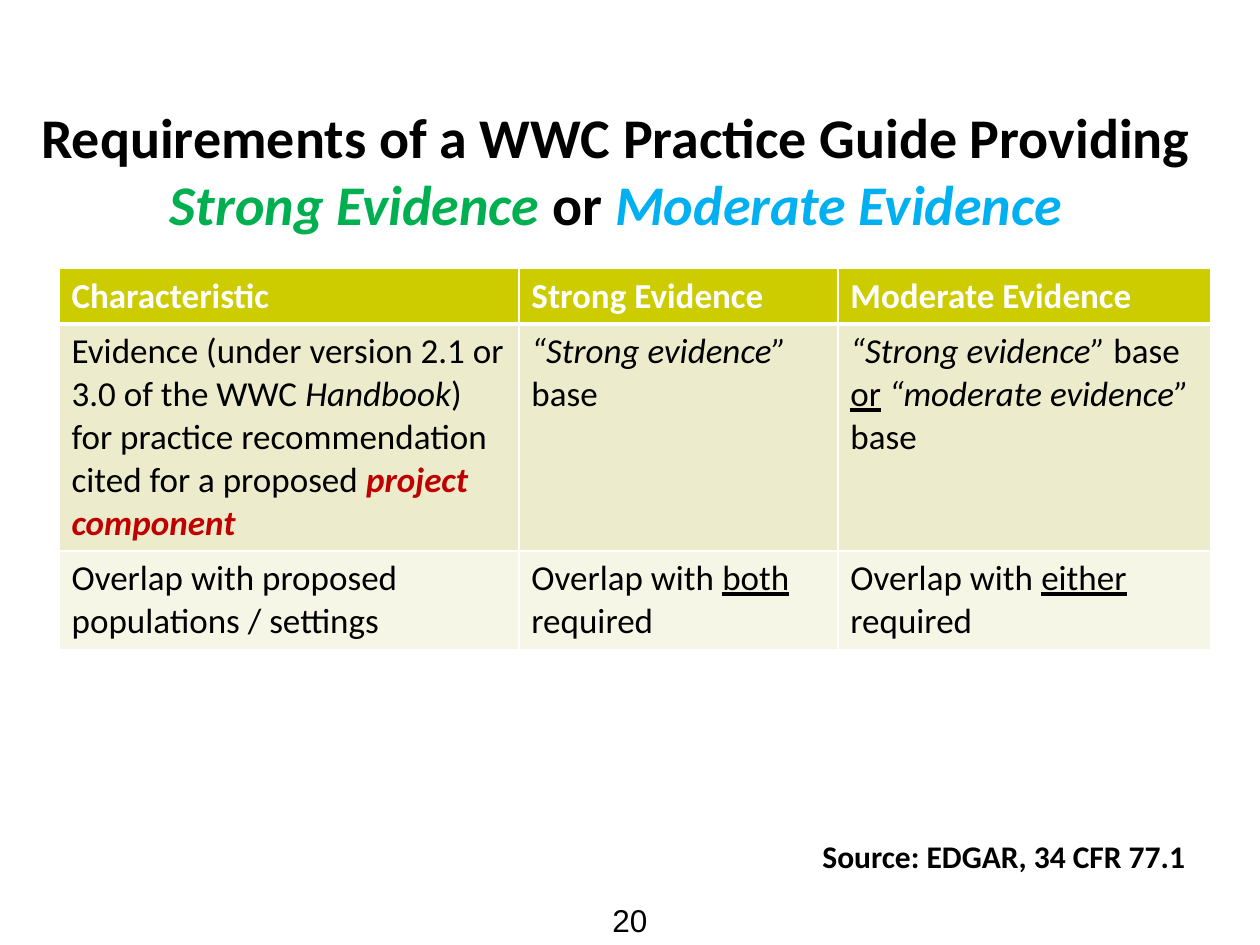
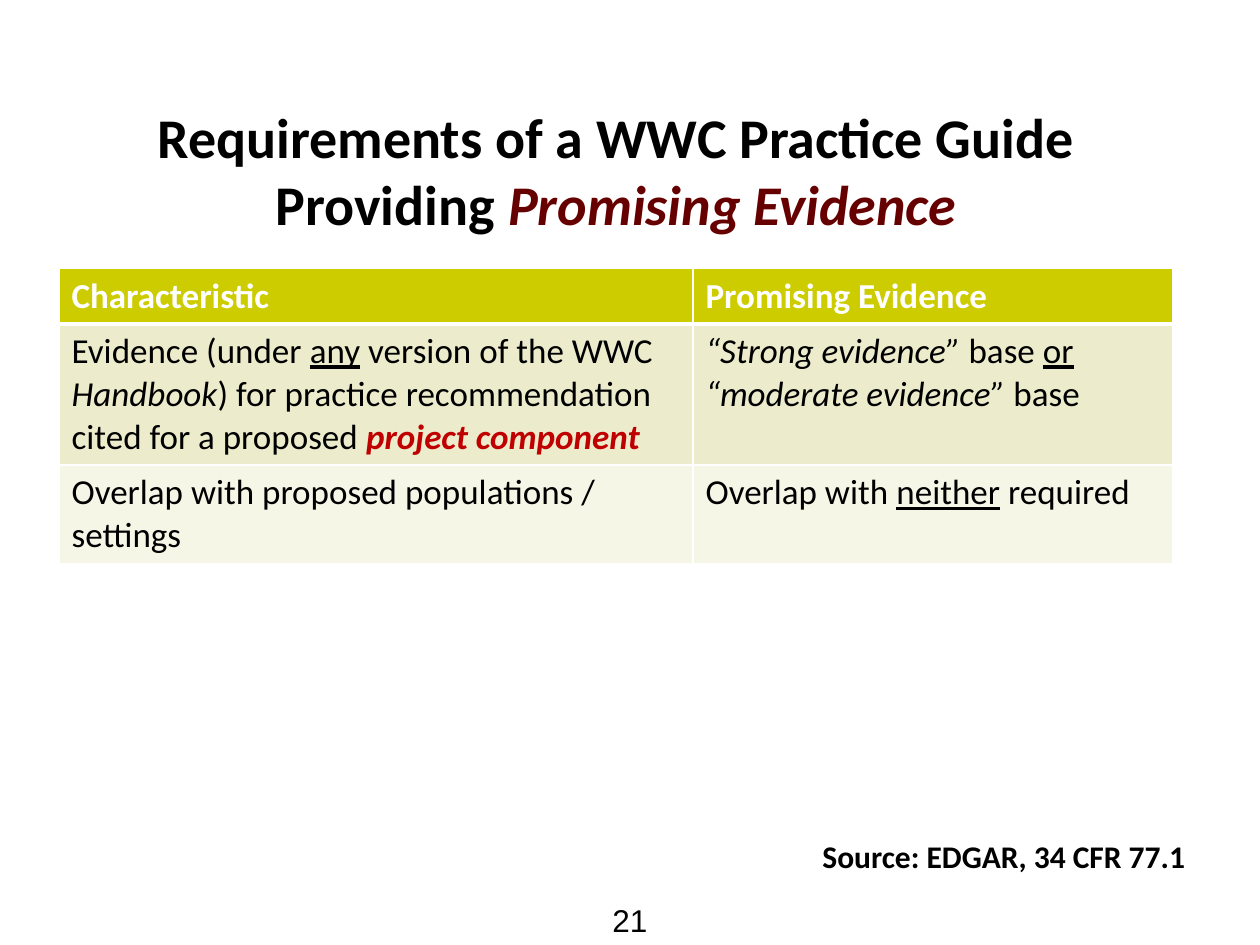
from lxml.etree import SubElement as Sub
from pptx import Presentation
from pptx.dml.color import RGBColor as Rgb
from pptx.enum.text import MSO_ANCHOR as Anchor, MSO_AUTO_SIZE as Fit, PP_ALIGN as Align
from pptx.oxml.ns import qn
from pptx.util import Cm, Pt

HUES = {
    "black": "000000", "white": "FFFFFF", "green": "00B050", "blue": "00B0F0",
    "maroon": "660000", "red": "C00000",
    "head": "CCCC00", "band": "ECECCC", "pale": "F6F6E7",
}

# Base text styles
TITLE = {"name": "Calibri", "size": Pt(32), "bold": True, "hue": "black"}
HEAD = {"name": "Calibri", "size": Pt(20), "bold": True, "hue": "white"}
CELL = {"name": "Calibri", "size": Pt(20), "bold": False, "hue": "black"}
SOURCE = {"name": "Calibri", "size": Pt(18), "bold": True, "hue": "black"}
NUMBER = {"name": "Arial", "size": Pt(18), "bold": False, "hue": "black"}

# Changes for single runs
ITAL = {"italic": True}
LINE = {"underline": True}
STRONG = {"italic": True, "hue": "green"}
MILD = {"italic": True, "hue": "blue"}
PROMISE = {"italic": True, "hue": "maroon"}
KEY = {"italic": True, "bold": True, "hue": "red"}


def write(para, runs, base):
    """Fill a paragraph with plain strings and (text, changes) pairs."""
    for part in runs:
        text, extra = (part, {}) if isinstance(part, str) else part
        run = para.add_run()
        run.text = text
        for key, value in {**base, **extra}.items():
            if key == "hue":
                run.font.color.rgb = Rgb.from_string(HUES[value])
            else:
                setattr(run.font, key, value)


def edge(cell, side, width):
    """Draw a white border on one side of a cell."""
    line = Sub(cell._tc.get_or_add_tcPr(), qn("a:ln" + side), w=str(Pt(width)))
    Sub(Sub(line, qn("a:solidFill")), qn("a:srgbClr"), val=HUES["white"])


# Slide content
OVERLAP = ["Overlap with proposed populations / settings"]
COMPONENT = [") for practice recommendation cited for a proposed ", ("project component", KEY)]

PAGES = [
    {
        "number": "20",
        "title": [["Requirements of a WWC Practice Guide Providing ",
                   ("Strong Evidence ", STRONG), "or ", ("Moderate Evidence", MILD)]],
        "cols": [9.27, 6.43, 7.52],
        "rows": [1.12, 4.47, 1.96],
        "cells": [
            [["Characteristic"], ["Strong Evidence"], ["Moderate Evidence"]],
            [["Evidence (under version 2.1 or 3.0 of the WWC ", ("Handbook", ITAL), *COMPONENT],
             [("“Strong evidence” ", ITAL), "base"],
             [("“Strong evidence” ", ITAL), "base ", ("or", LINE),
              (" “moderate evidence” ", ITAL), "base"]],
            [OVERLAP,
             ["Overlap with ", ("both", LINE), " required"],
             ["Overlap with ", ("either", LINE), " required"]],
        ],
    },
    {
        "number": "21",
        "title": [["Requirements of a WWC Practice Guide"],
                  ["Providing ", ("Promising Evidence", PROMISE)]],
        "cols": [12.78, 9.68],
        "rows": [1.12, 2.8, 1.96],
        "cells": [
            [["Characteristic"], ["Promising Evidence"]],
            [["Evidence (under ", ("any", LINE), " version of the WWC ",
              ("Handbook", ITAL), *COMPONENT],
             [("“Strong evidence” ", ITAL), "base ", ("or", LINE), " ",
              ("“moderate evidence” ", ITAL), "base"]],
            [OVERLAP, ["Overlap with ", ("neither", LINE), " required"]],
        ],
    },
]

deck = Presentation()
deck.slide_width, deck.slide_height = Cm(25.4), Cm(19.05)

for page in PAGES:
    slide = deck.slides.add_slide(deck.slide_layouts[5])

    # Title
    title = slide.shapes.title
    title.left, title.top, title.width, title.height = Cm(0), Cm(2.08), Cm(24.84), Cm(2.69)
    frame = title.text_frame
    frame.auto_size, frame.vertical_anchor = Fit.NONE, Anchor.MIDDLE
    for i, runs in enumerate(page["title"]):
        para = frame.add_paragraph() if i else frame.paragraphs[0]
        para.alignment = Align.CENTER
        write(para, runs, TITLE)

    # Table
    cols, rows = page["cols"], page["rows"]
    table = slide.shapes.add_table(len(rows), len(cols), Cm(1.19), Cm(5.41),
                                   Cm(sum(cols)), Cm(sum(rows))).table
    table.horz_banding = False
    for col, width in zip(table.columns, cols):
        col.width = Cm(width)
    for r, (row, high) in enumerate(zip(table.rows, rows)):
        row.height = Cm(high)
        for cell, runs in zip(row.cells, page["cells"][r]):
            for side in "LRTB":
                thick = (r, side) in [(0, "B"), (1, "T")]
                edge(cell, side, 3 if thick else 1)
            cell.fill.solid()
            cell.fill.fore_color.rgb = Rgb.from_string(HUES[["head", "band", "pale"][r]])
            write(cell.text_frame.paragraphs[0], runs, CELL if r else HEAD)

    # Source line
    frame = slide.shapes.add_textbox(Cm(16.33), Cm(16.74), Cm(7.9), Cm(1.02)).text_frame
    frame.word_wrap, frame.auto_size = False, Fit.SHAPE_TO_FIT_TEXT
    write(frame.paragraphs[0], ["Source: EDGAR, 34 CFR 77.1"], SOURCE)

    # Page number
    frame = slide.shapes.add_textbox(Cm(12.09), Cm(18.03), Cm(1.22), Cm(1.02)).text_frame
    frame.word_wrap = True
    frame.margin_left = frame.margin_right = 0
    frame.paragraphs[0].alignment = Align.CENTER
    write(frame.paragraphs[0], [page["number"]], NUMBER)

deck.save("out.pptx")
